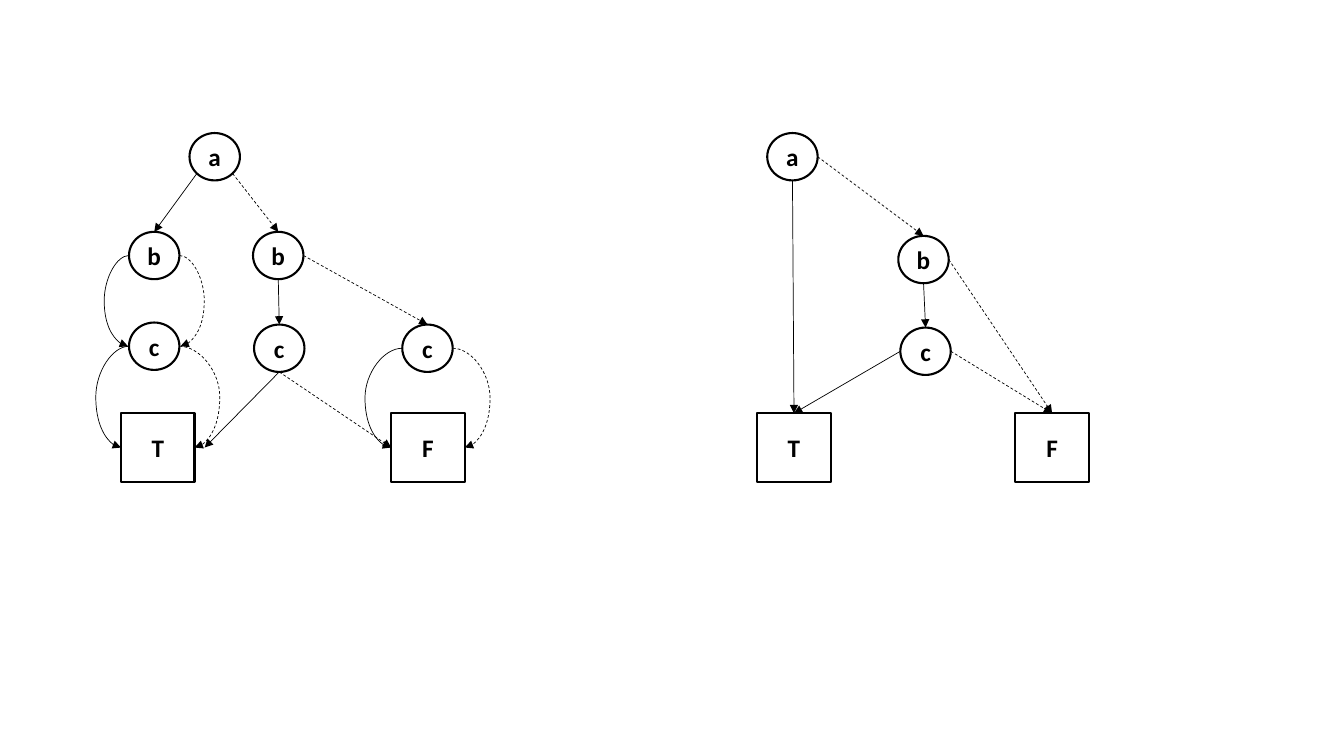
from lxml import etree
from pptx import Presentation
from pptx.dml.color import RGBColor
from pptx.enum.dml import MSO_LINE
from pptx.enum.shapes import MSO_CONNECTOR, MSO_SHAPE
from pptx.enum.text import MSO_ANCHOR, PP_ALIGN
from pptx.oxml.ns import qn
from pptx.util import Inches, Pt

CIRCLE, SQUARE = MSO_SHAPE.OVAL, MSO_SHAPE.RECTANGLE
STRAIGHT, CURVE = MSO_CONNECTOR.STRAIGHT, MSO_CONNECTOR.CURVE
DASH = MSO_LINE.DASH
MIDDLE, CENTER = MSO_ANCHOR.MIDDLE, PP_ALIGN.CENTER

COLORS = {"ink": "000000"}
FONT = "Calibri"
INK = RGBColor.from_string(COLORS["ink"])
SIZES = {CIRCLE: (0.5, 0.47), SQUARE: (0.73, 0.68)}
DIAGONAL = 0.71  # share of the radius at 45 degrees
SIDES = {
    "top": (0, -1), "bottom": (0, 1), "left": (-1, 0), "right": (1, 0),
    "lower left": (-DIAGONAL, DIAGONAL), "lower right": (DIAGONAL, DIAGONAL),
}


def add_node(slide, kind, label, left, top):
    """Draw one labelled node and return its box in inches."""
    width, height = SIZES[kind]
    shape = slide.shapes.add_shape(
        kind, Inches(left), Inches(top), Inches(width), Inches(height))
    shape.shadow.inherit = False
    shape.fill.background()
    shape.line.color.rgb = INK
    shape.line.width = Pt(1.5)
    frame = shape.text_frame
    frame.margin_left = frame.margin_right = 0
    frame.margin_top = frame.margin_bottom = 0
    frame.word_wrap = False
    frame.vertical_anchor = MIDDLE
    paragraph = frame.paragraphs[0]
    paragraph.text = label
    paragraph.alignment = CENTER
    font = paragraph.font
    font.name, font.size, font.bold = FONT, Pt(18), True
    font.color.rgb = INK
    return left, top, width, height


def anchor(box, side):
    """Return the point on a side of a node's box."""
    left, top, width, height = box
    across, down = SIDES[side]
    return left + width * (1 + across) / 2, top + height * (1 + down) / 2


def add_arrow(slide, kind, start, end, dashed):
    """Draw a thin arrow between two points."""
    connector = slide.shapes.add_connector(
        kind, *(Inches(value) for value in (*start, *end)))
    line = connector.line
    line.color.rgb = INK
    line.width = Pt(0.5)
    if dashed:
        line.dash_style = DASH
    properties = connector._element.spPr
    etree.SubElement(properties.find(qn("a:ln")), qn("a:tailEnd"), type="triangle")
    etree.SubElement(properties, qn("a:effectLst"))
    return connector


def add_edge(slide, source, source_side, target, target_side, dashed=False, gap=0):
    """Join two nodes with a straight arrow, ending gap inches to the right."""
    end_x, end_y = anchor(target, target_side)
    add_arrow(slide, STRAIGHT, anchor(source, source_side), (end_x + gap, end_y), dashed)


def add_bow(slide, source, target, side, bulge, dashed=False):
    """Join the same side of two nodes with an arrow that bulges outward."""
    start_x, start_y = anchor(source, side)
    end_x, end_y = anchor(target, side)
    span = max(abs(end_x - start_x), 0.01)
    end_x = start_x + SIDES[side][0] * span
    connector = add_arrow(slide, CURVE, (start_x, start_y), (end_x, end_y), dashed)
    adjustments = connector._element.spPr.find(qn("a:prstGeom")).get_or_add_avLst()
    etree.SubElement(adjustments, qn("a:gd"), name="adj1",
                     fmla=f"val {round(bulge / span * 100000)}")


def add_nodes(slide, left, top, nodes):
    """Draw the nodes of a diagram and return their boxes by name."""
    return {name: add_node(slide, kind, name[0], left + x, top + y)
            for name, (kind, x, y) in nodes.items()}


def add_full_tree(slide, left, top):
    """Draw the decision diagram before reduction."""
    node = add_nodes(slide, left, top, {
        "a": (CIRCLE, 0.68, 0),
        "b1": (CIRCLE, 0.08, 0.98),
        "b2": (CIRCLE, 1.31, 0.98),
        "c1": (CIRCLE, 0.08, 1.88),
        "c2": (CIRCLE, 1.32, 1.9),
        "c3": (CIRCLE, 2.79, 1.9),
        "T": (SQUARE, 0, 2.78),
        "F": (SQUARE, 2.68, 2.78),
    })
    for source, source_side, target, target_side, dashed, gap in (
        ("a", "lower left", "b1", "top", False, 0),
        ("a", "lower right", "b2", "top", True, 0),
        ("b2", "bottom", "c2", "top", False, 0),
        ("b2", "right", "c3", "top", True, 0),
        ("c2", "bottom", "T", "right", False, 0.1),
        ("c2", "bottom", "F", "left", True, 0),
    ):
        add_edge(slide, node[source], source_side, node[target], target_side, dashed, gap)
    for source, target, left_bulge, right_bulge in (
        ("b1", "c1", 0.25, 0.25),
        ("c1", "T", 0.33, 0.4),
        ("c3", "F", 0.37, 0.37),
    ):
        add_bow(slide, node[source], node[target], "left", left_bulge)
        add_bow(slide, node[source], node[target], "right", right_bulge, dashed=True)


def add_reduced_tree(slide, left, top):
    """Draw the decision diagram after reduction."""
    node = add_nodes(slide, left, top, {
        "a": (CIRCLE, 0.1, 0),
        "b": (CIRCLE, 1.4, 1.02),
        "c": (CIRCLE, 1.42, 1.93),
        "T": (SQUARE, 0, 2.78),
        "F": (SQUARE, 2.56, 2.78),
    })
    for source, side, target, dashed in (
        ("a", "bottom", "T", False),
        ("a", "right", "b", True),
        ("b", "bottom", "c", False),
        ("b", "right", "F", True),
        ("c", "left", "T", False),
        ("c", "right", "F", True),
    ):
        add_edge(slide, node[source], side, node[target], "top", dashed)


def main():
    """Build the slide with both diagrams and save it."""
    presentation = Presentation()
    presentation.slide_width = Inches(13.33)
    presentation.slide_height = Inches(7.5)
    slide = presentation.slides.add_slide(presentation.slide_layouts[6])
    add_full_tree(slide, 1.2, 1.32)
    add_reduced_tree(slide, 7.51, 1.32)
    presentation.save("out.pptx")


main()
